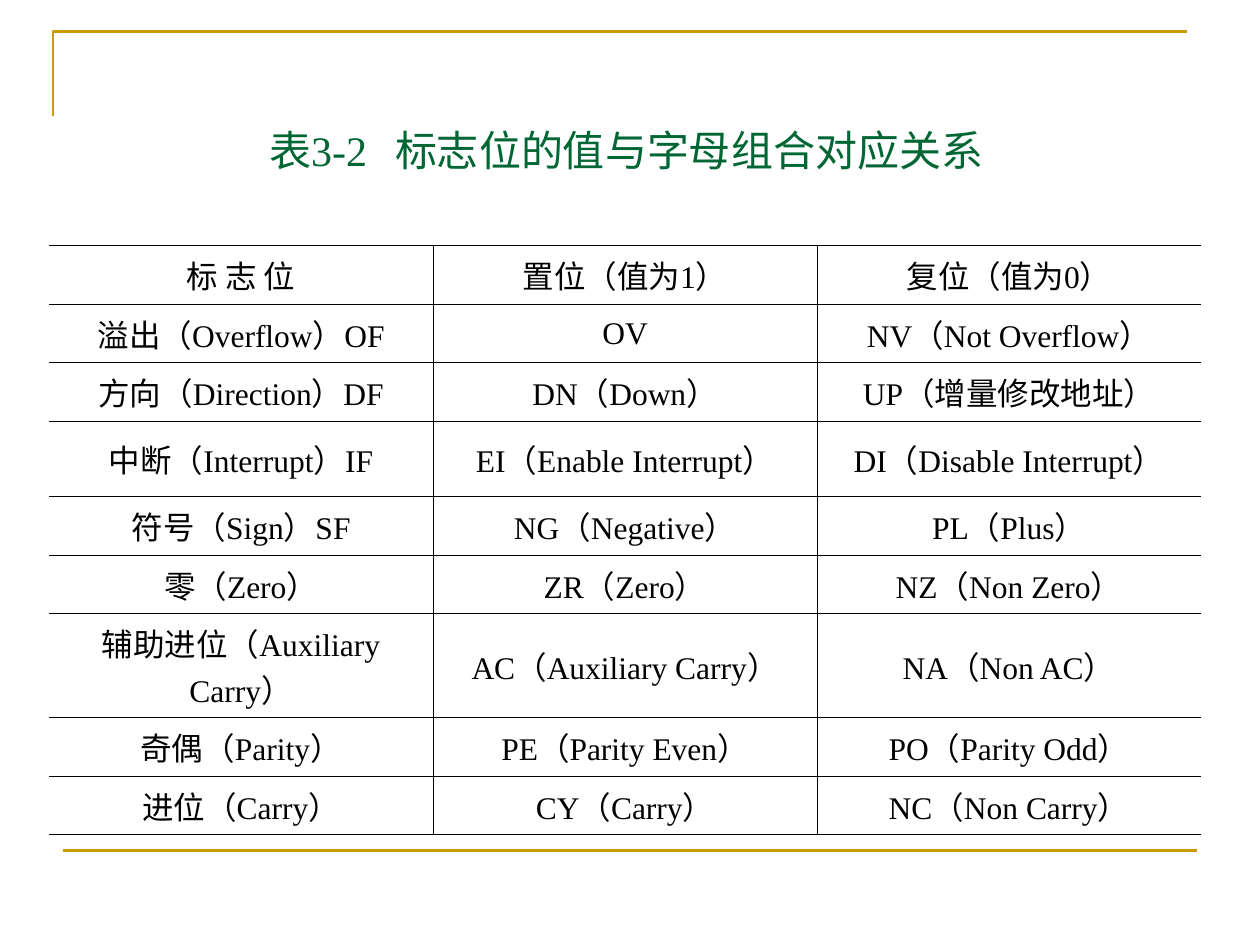
from typing import NamedTuple

from lxml import etree
from pptx import Presentation
from pptx import util as u
from pptx.dml.color import RGBColor
from pptx.enum import shapes, text
from pptx.oxml import ns

COLORS = {"rule": "CC9900", "title": "006633", "text": "000000", "border": "000000"}
FONT = "Times New Roman"
COLUMN_WIDTH = u.Cm(7.74)
ROW_HEIGHT = u.Cm(1.04)
TALL_ROW_HEIGHT = u.Cm(1.52)


class Flag(NamedTuple):
    name: str
    when_set: str
    when_reset: str
    height: int = ROW_HEIGHT


FLAGS = [
    Flag("标 志 位", "置位（值为1）", "复位（值为0）"),
    Flag("溢出（Overflow）OF", "OV", "NV（Not Overflow）"),
    Flag("方向（Direction）DF", "DN（Down）", "UP（增量修改地址）"),
    Flag("中断（Interrupt）IF", "EI（Enable Interrupt）", "DI（Disable Interrupt）", TALL_ROW_HEIGHT),
    Flag("符号（Sign）SF", "NG（Negative）", "PL（Plus）"),
    Flag("零（Zero）", "ZR（Zero）", "NZ（Non Zero）"),
    Flag("辅助进位（Auxiliary Carry）", "AC（Auxiliary Carry）", "NA（Non AC）", TALL_ROW_HEIGHT),
    Flag("奇偶（Parity）", "PE（Parity Even）", "PO（Parity Odd）"),
    Flag("进位（Carry）", "CY（Carry）", "NC（Non Carry）"),
]


def color(key: str) -> RGBColor:
    return RGBColor.from_string(COLORS[key])


def format_paragraph(paragraph, size: float, color_key: str) -> None:
    paragraph.alignment = text.PP_ALIGN.CENTER
    paragraph.font.name = FONT
    paragraph.font.size = u.Pt(size)
    paragraph.font.bold = False
    paragraph.font.color.rgb = color(color_key)


def style_rule(line) -> None:
    line.color.rgb = color("rule")
    line.width = u.Pt(1.5)


def draw_rules(slide) -> None:
    left, top, right, bottom = u.Cm(1.07), u.Cm(0.64), u.Cm(23.93), u.Cm(2.34)
    builder = slide.shapes.build_freeform(left, bottom)
    builder.add_line_segments([(left, top), (right, top)], close=False)
    corner = builder.convert_to_shape()
    corner.fill.background()
    corner.shadow.inherit = False
    style_rule(corner.line)

    footer = slide.shapes.add_connector(
        shapes.MSO_CONNECTOR.STRAIGHT, u.Cm(1.27), u.Cm(17.15), u.Cm(24.13), u.Cm(17.15))
    etree.SubElement(footer._element.spPr, ns.qn("a:effectLst"))
    style_rule(footer.line)


def draw_title(slide, caption: str) -> None:
    title = slide.shapes.title
    title.left, title.top, title.width, title.height = u.Cm(1.19), u.Cm(2.39), u.Cm(22.86), u.Cm(1.42)
    frame = title.text_frame
    frame.text = caption
    frame.auto_size = text.MSO_AUTO_SIZE.NONE
    frame.vertical_anchor = text.MSO_ANCHOR.TOP
    heading = frame.paragraphs[0]
    tabs = etree.SubElement(heading._p.get_or_add_pPr(), ns.qn("a:tabLst"))
    etree.SubElement(tabs, ns.qn("a:tab"), pos=str(u.Cm(2.54)), algn="l")
    format_paragraph(heading, 24, "title")


def set_borders(cell, visible: str) -> None:
    properties = cell._tc.get_or_add_tcPr()
    for position, side in enumerate("LRTB"):
        border = etree.Element(ns.qn(f"a:ln{side}"), w=str(u.Pt(0.45)))
        if side in visible:
            fill = etree.SubElement(border, ns.qn("a:solidFill"))
            etree.SubElement(fill, ns.qn("a:srgbClr"), val=COLORS["border"])
        else:
            etree.SubElement(border, ns.qn("a:noFill"))
        properties.insert(position, border)


def fill_cell(cell, label: str, borders: str) -> None:
    cell.text = label
    cell.vertical_anchor = text.MSO_ANCHOR.MIDDLE
    cell.margin_left = cell.margin_right = u.Cm(0.2)
    cell.margin_top = cell.margin_bottom = u.Cm(0.13)
    cell.fill.background()
    set_borders(cell, borders)
    entry = cell.text_frame.paragraphs[0]
    entry.space_after = u.Pt(1.2)
    format_paragraph(entry, 18, "text")


def draw_flags(slide, flags: list[Flag]) -> None:
    column_borders = ["RTB", "LRTB", "LTB"]
    columns = len(column_borders)
    table = slide.shapes.add_table(
        len(flags), columns, u.Cm(0.99), u.Cm(4.95),
        COLUMN_WIDTH * columns, sum(flag.height for flag in flags)).table
    table.first_row = table.horz_banding = False
    for column in table.columns:
        column.width = COLUMN_WIDTH
    for row, flag in zip(table.rows, flags):
        row.height = flag.height
        labels = (flag.name, flag.when_set, flag.when_reset)
        for cell, label, borders in zip(row.cells, labels, column_borders):
            fill_cell(cell, label, borders)


def main() -> None:
    deck = Presentation()
    deck.slide_width, deck.slide_height = u.Cm(25.4), u.Cm(19.05)
    slide = deck.slides.add_slide(deck.slide_layouts.get_by_name("Title Only"))
    draw_rules(slide)
    draw_title(slide, "表3-2\t标志位的值与字母组合对应关系")
    draw_flags(slide, FLAGS)
    deck.save("out.pptx")


if __name__ == "__main__":
    main()
